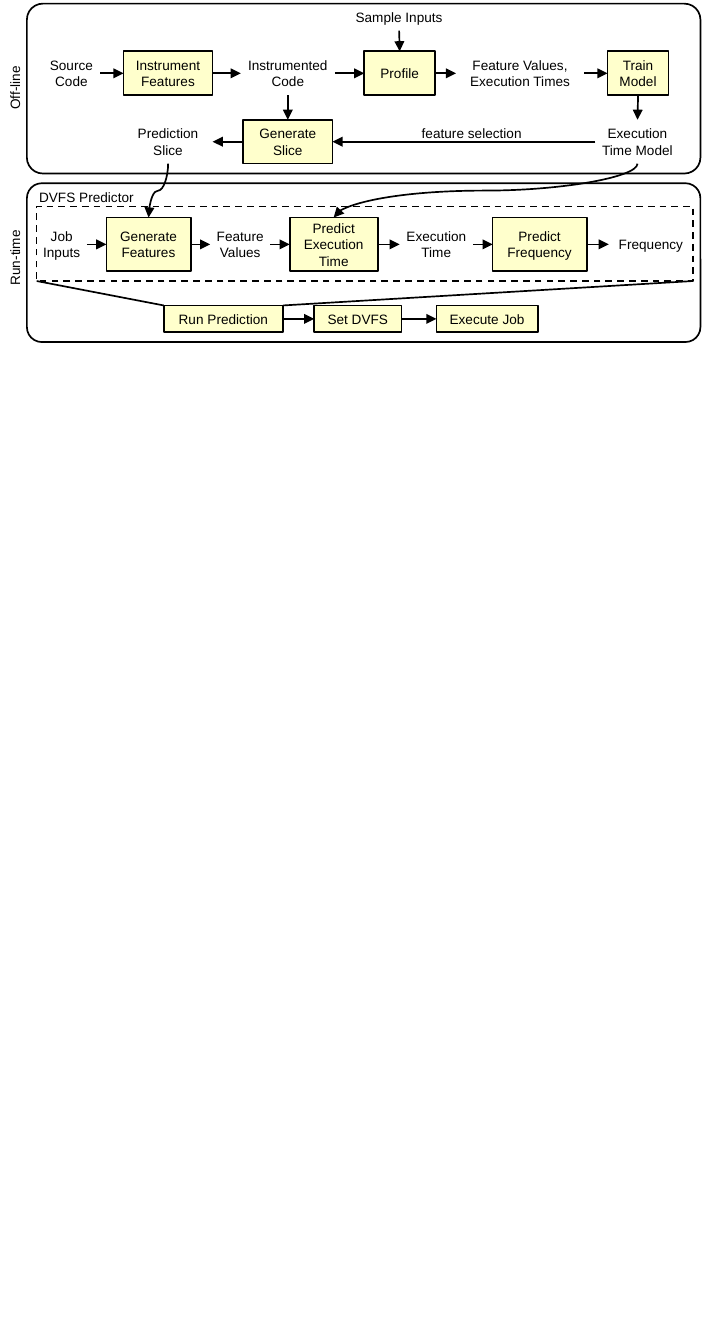
import dataclasses

import lxml.etree
import pptx
import pptx.dml.color
import pptx.enum.dml
import pptx.enum.shapes
import pptx.enum.text
import pptx.oxml.ns
import pptx.util

SHAPE = pptx.enum.shapes.MSO_SHAPE
CONNECTOR = pptx.enum.shapes.MSO_CONNECTOR
ALIGN = pptx.enum.text.PP_ALIGN


@dataclasses.dataclass(frozen=True)
class Theme:
    ink: str = "000000"
    step: str = "FFFFCC"
    font: str = "Arial"
    size: int = 8
    line: int = 1
    inset: float = 0.05
    corner: float = 0.094


THEME = Theme()
INK = pptx.dml.color.RGBColor.from_string(THEME.ink)

deck = pptx.Presentation()
deck.slide_width = pptx.util.Inches(5.8)
deck.slide_height = pptx.util.Inches(11)
slide = deck.slides.add_slide(deck.slide_layouts[6])

# The slide is a grid of 58 columns by 110 rows
COLUMN = deck.slide_width / 58
ROW = deck.slide_height / 110


@dataclasses.dataclass(frozen=True)
class Box:
    """A rectangle in grid columns and rows."""
    left: float
    top: float
    width: float
    height: float

    def inside(self, left, top, width, height):
        return Box(self.left + left, self.top + top, width, height)

    def anchor(self, across, down):
        return self.left + across * self.width, self.top + down * self.height

    def emu(self):
        return (round(self.left * COLUMN), round(self.top * ROW),
                round(self.width * COLUMN), round(self.height * ROW))


def write(shape, text, align=ALIGN.CENTER):
    frame = shape.text_frame
    frame.word_wrap = True
    frame.vertical_anchor = pptx.enum.text.MSO_ANCHOR.MIDDLE
    frame.margin_left = frame.margin_right = pptx.util.Inches(THEME.inset)
    frame.margin_top = frame.margin_bottom = pptx.util.Inches(THEME.inset)
    frame.text = text
    for paragraph in frame.paragraphs:
        paragraph.alignment = align
        for run in paragraph.runs:
            run.font.name = THEME.font
            run.font.size = pptx.util.Pt(THEME.size)
            run.font.color.rgb = INK


def label(box, text, align=ALIGN.CENTER, rotation=0):
    caption = slide.shapes.add_textbox(*box.emu())
    caption.rotation = rotation
    write(caption, text, align)
    return box


def outline(box, kind=SHAPE.RECTANGLE):
    frame = slide.shapes.add_shape(kind, *box.emu())
    frame.shadow.inherit = False
    frame.fill.background()
    frame.line.color.rgb = INK
    frame.line.width = pptx.util.Pt(THEME.line)
    return frame


def step(box, text):
    block = outline(box)
    block.fill.solid()
    block.fill.fore_color.rgb = pptx.dml.color.RGBColor.from_string(THEME.step)
    write(block, text)
    return box


def connect(start, end, kind=CONNECTOR.STRAIGHT, head=True):
    (x1, y1), (x2, y2) = start, end
    link = slide.shapes.add_connector(
        kind, round(x1 * COLUMN), round(y1 * ROW), round(x2 * COLUMN), round(y2 * ROW))
    link.line.color.rgb = INK
    link.line.width = pptx.util.Pt(THEME.line)
    if head:
        lxml.etree.SubElement(link.line._get_or_add_ln(),
                              pptx.oxml.ns.qn("a:tailEnd"), type="triangle")
    lxml.etree.SubElement(link._element.spPr, pptx.oxml.ns.qn("a:effectLst"))
    return link


def drop_curve(start, end):
    """A curve leaving and arriving vertically: a quarter-turned connector."""
    (x1, y1), (x2, y2) = start, end
    x, y = (x1 + x2) / 2, (y1 + y2) / 2
    run, rise = (y2 - y1) / 2, (x1 - x2) / 2
    curve = connect((x - run, y - rise), (x + run, y + rise), CONNECTOR.CURVE)
    curve._element.spPr.find(pptx.oxml.ns.qn("a:xfrm")).set("rot", "5400000")


def flow(area, top, height, stages):
    """A row of stages (draw, text, left, width) joined by arrows in list order."""
    boxes = [draw(area.inside(left, top, width, height), text)
             for draw, text, left, width in stages]
    for source, target in zip(boxes, boxes[1:]):
        # Leave from the side facing the target
        leave = 1 if source.left < target.left else 0
        connect(source.anchor(leave, 0.5), target.anchor(1 - leave, 0.5))
    return boxes


def panel(area, name, middle):
    outline(area, SHAPE.ROUNDED_RECTANGLE).adjustments[0] = THEME.corner
    label(area.inside(-5, middle - 1.1, 8, 2.2), name, rotation=270)


def offline(area):
    panel(area, "Off-line", 6.9)
    # Training row
    _, _, code, profile, _, train = flow(area, 3.9, 3.6, [
        (label, "Source Code", 1.3, 4.7),
        (step, "Instrument Features", 7.9, 7.3),
        (label, "Instrumented Code", 17.5, 7.7),
        (step, "Profile", 27.6, 5.8),
        (label, "Feature Values,\nExecution Times", 35.1, 10.5),
        (step, "Train Model", 47.5, 5),
    ])
    samples = label(area.inside(26, 0, 8.9, 2.2), "Sample Inputs")
    # Slicing row, right to left
    model, generate, prediction = flow(area, 9.5, 3.6, [
        (label, "Execution Time Model", 46.5, 6.9),
        (step, "Generate Slice", 17.7, 7.3),
        (label, "Prediction Slice", 7.9, 7.3),
    ])
    label(area.inside(30.1, 9.5, 12.6, 2.2), "feature selection")
    for source, target in ((samples, profile), (code, generate), (train, model)):
        connect(source.anchor(0.5, 1), target.anchor(0.5, 0))
    return prediction, model


def runtime(area):
    panel(area, "Run-time", 6.1)
    # Predictor detail
    detail = area.inside(0.8, 1.9, 53.7, 6.1)
    outline(detail).line.dash_style = pptx.enum.dml.MSO_LINE.DASH
    label(area.inside(0.5, 0, 9, 2.2), "DVFS Predictor", ALIGN.LEFT)
    _, features, _, predict, *_ = flow(area, 2.8, 4.4, [
        (label, "Job Inputs", 0.8, 4.1),
        (step, "Generate Features", 6.5, 6.9),
        (label, "Feature Values", 15, 4.9),
        (step, "Predict Execution Time", 21.5, 7.2),
        (label, "Execution Time", 30.5, 6),
        (step, "Predict Frequency", 38.1, 7.7),
        (label, "Frequency", 47.6, 6.9),
    ])
    # Job sequence, with its first stage expanded into the detail
    prediction, *_ = flow(area, 10, 2.2, [
        (step, "Run Prediction", 11.2, 9.75),
        (step, "Set DVFS", 23.5, 7.15),
        (step, "Execute Job", 33.5, 8.3),
    ])
    for side in (0, 1):
        connect(detail.anchor(side, 1), prediction.anchor(side, 0), head=False)
    return features, predict


results = offline(Box(2.2, 0.3, 55.1, 13.9))
users = runtime(Box(2.2, 15, 55.1, 13))
for result, user in zip(results, users):
    drop_curve(result.anchor(0.5, 1), user.anchor(0.5, 0))

deck.save("out.pptx")
